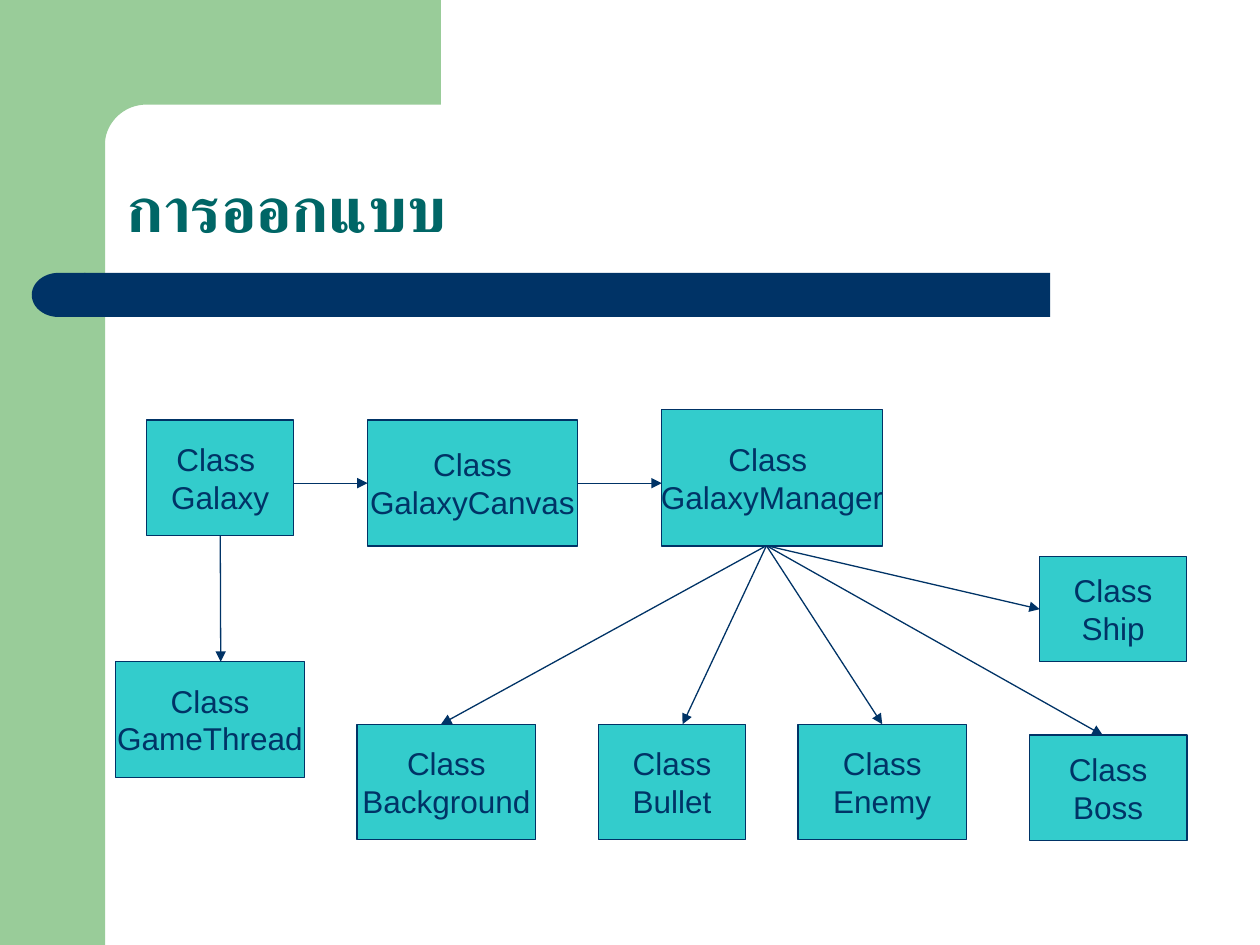
from math import cos, pi, sin

from lxml import etree
from pptx import Presentation
from pptx.dml.color import RGBColor
from pptx.enum.shapes import MSO_CONNECTOR, MSO_SHAPE
from pptx.enum.text import MSO_ANCHOR, PP_ALIGN
from pptx.oxml.ns import qn
from pptx.util import Cm, Pt

RECT = MSO_SHAPE.RECTANGLE
DELAY = MSO_SHAPE.FLOWCHART_DELAY
STRAIGHT = MSO_CONNECTOR.STRAIGHT
CENTER = PP_ALIGN.CENTER
MIDDLE = MSO_ANCHOR.MIDDLE
BOTTOM = MSO_ANCHOR.BOTTOM

GREEN = RGBColor(0x99, 0xCC, 0x99)
NAVY = RGBColor(0x00, 0x33, 0x66)
TEAL = RGBColor(0x00, 0x66, 0x66)
AQUA = RGBColor(0x33, 0xCC, 0xCC)
FONT = "Arial"
TOP, LEFT, FOOT, RIGHT = range(4)

ROW = 14.6
TALL = 2.33
HUB = (15.45, 11.0)
BOXES = [
    ("Class", "Boss", 20.75, 14.82, 3.18, 2.12),
    ("Class", "Bullet", 12.07, ROW, 2.96, TALL),
    ("Class", "Ship", 20.96, 11.22, 2.96, 2.12),
    ("Class", "Enemy", 16.09, ROW, 3.39, TALL),
    ("Class", "Background", 7.2, ROW, 3.6, TALL),
    ("Class", "GameThread", 2.33, 13.34, 3.81, TALL),
    ("Class", "GalaxyCanvas", 7.41, 8.47, 4.23, 2.54),
    ("Class ", "GalaxyManager", 13.34, 8.26, 4.45, 2.75),
    ("Class ", "Galaxy", 2.96, 8.47, 2.96, TALL),
]
ARROWS = [
    (("Galaxy", FOOT), (4.45, 13.34)),
    ((5.93, 9.74), ("GalaxyCanvas", LEFT)),
    (("GalaxyCanvas", RIGHT), (13.34, 9.74)),
    (HUB, ("Ship", LEFT)),
    (HUB, (13.76, ROW)),
    (HUB, (22.23, 14.82)),
    (HUB, ("Enemy", TOP)),
    (HUB, (8.89, ROW)),
]


def paint(shape, fill, line=None):
    shape.shadow.inherit = False
    shape.fill.solid()
    shape.fill.fore_color.rgb = fill
    if line is None:
        shape.line.fill.background()
    else:
        shape.line.color.rgb = line
        shape.line.width = Pt(0.75)


def add_block(slide, kind, area, fill, line=None):
    shape = slide.shapes.add_shape(kind, *map(Cm, area))
    paint(shape, fill, line)
    return shape


def set_font(para, size, color, bold=False):
    font = para.font
    font.name = FONT
    font.size = Pt(size)
    font.bold = bold
    font.color.rgb = color


def add_corner(slide):
    inner, radius, steps = 2.95, 0.84, 24
    turns = [pi / 2 * (1 + i / steps) for i in range(steps + 1)]
    arc = [(inner + radius * cos(t), inner - radius * sin(t)) for t in turns]
    points = [(8.89, 2.11), *arc, (2.11, 3.25), (1.27, 3.25), (1.27, 0)]
    form = slide.shapes.build_freeform(Cm(8.89), 0)
    form.add_line_segments([(Cm(x), Cm(y)) for x, y in points])
    paint(form.convert_to_shape(), GREEN)


def add_frame(slide):
    add_block(slide, RECT, (0, 0, 2.12, 19.05), GREEN)
    add_corner(slide)
    add_block(slide, RECT, (1.7, 5.5, 19.47, 0.89), NAVY)
    add_block(slide, DELAY, (0.64, 5.5, 1.08, 0.89), NAVY).rotation = 180


def add_title(slide, text):
    area = slide.shapes.add_textbox(Cm(2.31), Cm(2.31), Cm(21.62), Cm(2.77))
    frame = area.text_frame
    frame.word_wrap = True
    frame.vertical_anchor = BOTTOM
    para = frame.paragraphs[0]
    para.text = text
    para.line_spacing = 0.9
    set_font(para, 36, TEAL, True)


def add_box(slide, head, name, *area):
    box = add_block(slide, RECT, area, AQUA, NAVY)
    frame = box.text_frame
    frame.word_wrap = False
    frame.vertical_anchor = MIDDLE
    frame.text = f"{head}\n{name}"
    for para in frame.paragraphs:
        para.alignment = CENTER
        set_font(para, 18, NAVY)
    return box


def add_arrow(slide, boxes, start, end):
    ends = [(0, 0) if spot[0] in boxes else spot for spot in (start, end)]
    arrow = slide.shapes.add_connector(
        STRAIGHT, *(Cm(value) for spot in ends for value in spot))
    for spot, join in ((start, arrow.begin_connect), (end, arrow.end_connect)):
        if spot[0] in boxes:
            join(boxes[spot[0]], spot[1])
    arrow.line.color.rgb = NAVY
    arrow.line.width = Pt(0.75)
    tip = etree.SubElement(arrow.line._get_or_add_ln(), qn("a:tailEnd"))
    tip.set("type", "triangle")
    etree.SubElement(arrow._element.spPr, qn("a:effectLst"))


def main():
    deck = Presentation()
    deck.slide_width, deck.slide_height = Cm(25.4), Cm(19.05)
    slide = deck.slides.add_slide(deck.slide_layouts[6])
    add_frame(slide)
    add_title(slide, "การออกแบบ")
    boxes = {row[1]: add_box(slide, *row) for row in BOXES}
    for start, end in ARROWS:
        add_arrow(slide, boxes, start, end)
    deck.save("out.pptx")


if __name__ == "__main__":
    main()
